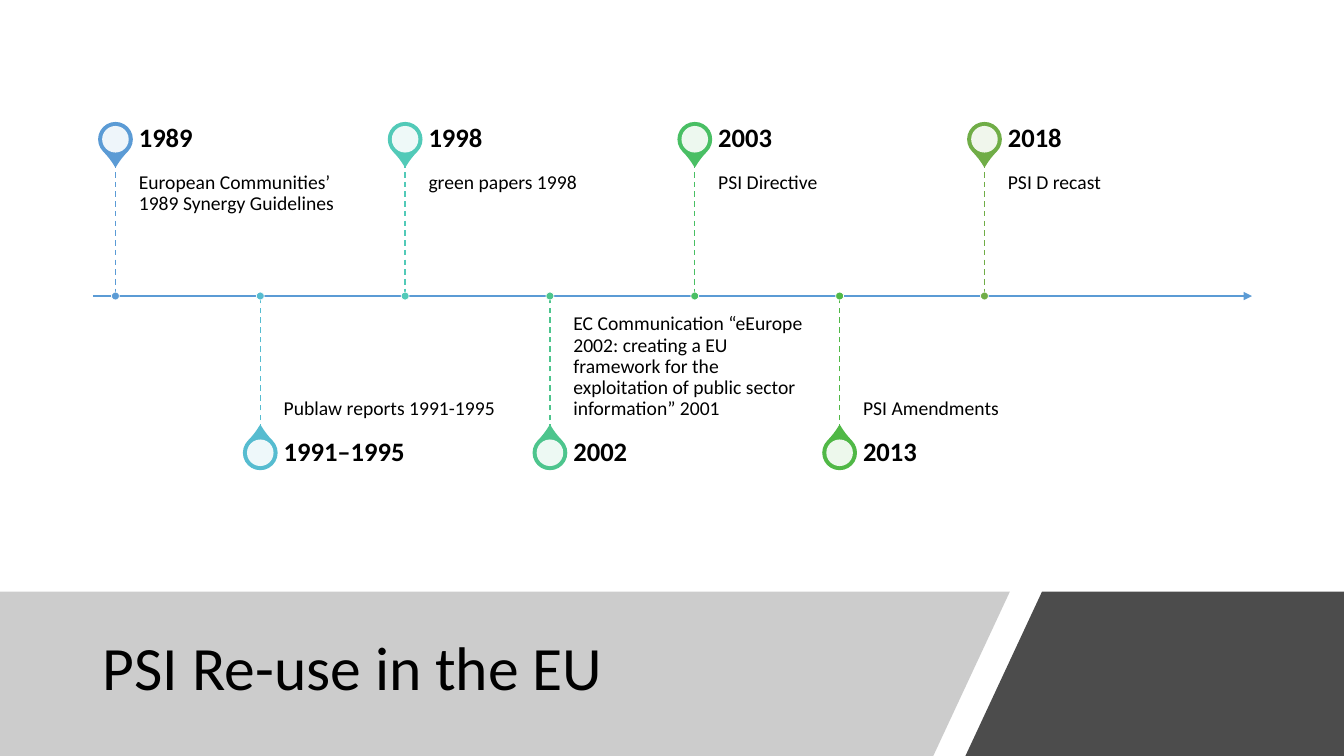
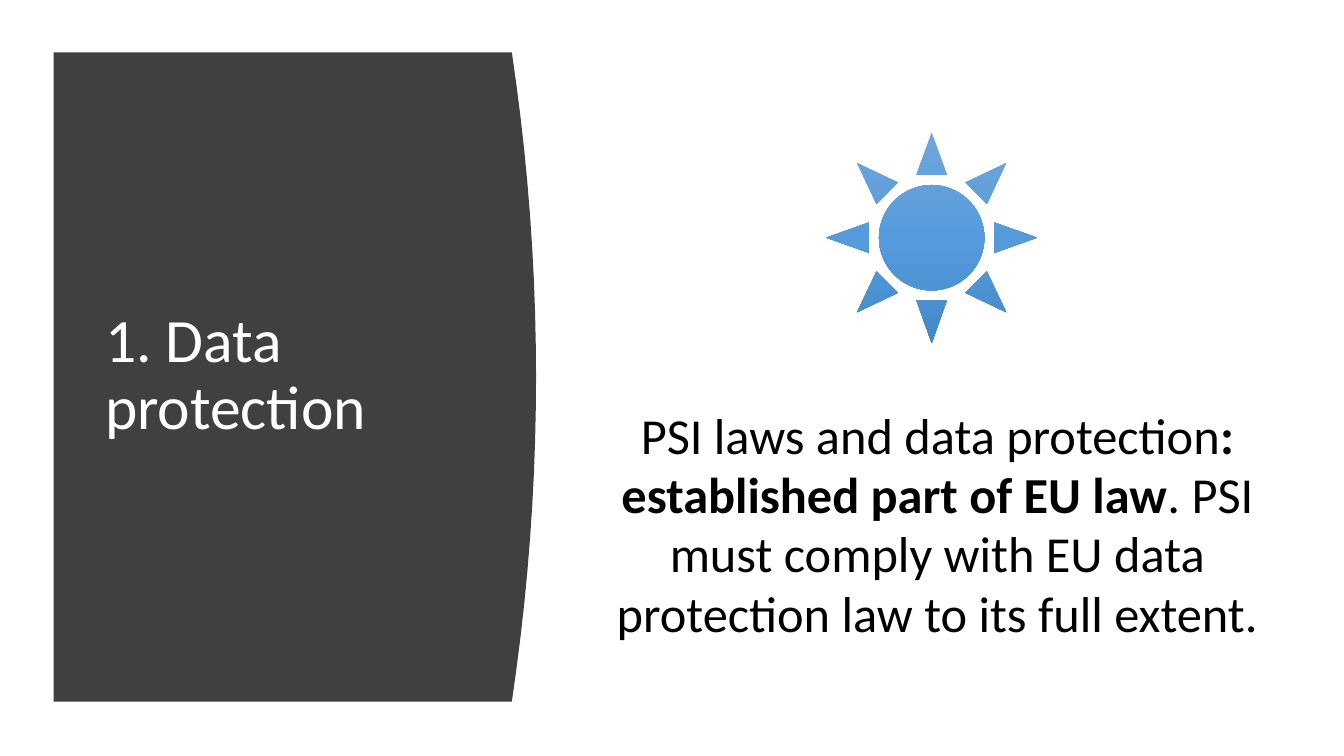
import copy

import pptx
import pptx.dml.color
import pptx.enum.dml
import pptx.enum.shapes
import pptx.enum.text
import pptx.oxml
import pptx.oxml.ns
import pptx.util

Cm = pptx.util.Cm
Pt = pptx.util.Pt
RGBColor = pptx.dml.color.RGBColor
ALIGN = pptx.enum.text.PP_ALIGN
ANCHOR = pptx.enum.text.MSO_ANCHOR
SHAPE = pptx.enum.shapes.MSO_SHAPE
DASH = pptx.enum.dml.MSO_LINE.DASH

FONT = "Calibri"
BLACK = RGBColor(0x00, 0x00, 0x00)
WHITE = RGBColor(0xFF, 0xFF, 0xFF)
GREY = RGBColor(0x80, 0x80, 0x80)
CHARCOAL = RGBColor(0x40, 0x40, 0x40)
BLUE = RGBColor(0x5B, 0x9B, 0xD5)
AQUA = RGBColor(0x56, 0xBC, 0xD0)
TURQUOISE = RGBColor(0x52, 0xCA, 0xB8)
MINT = RGBColor(0x4D, 0xC5, 0x8D)
EMERALD = RGBColor(0x49, 0xBF, 0x64)
GREEN = RGBColor(0x50, 0xB8, 0x46)
OLIVE = RGBColor(0x70, 0xAD, 0x47)
SUN_STOPS = [
    (0, RGBColor(0x71, 0xA6, 0xDB)),
    (0.5, RGBColor(0x55, 0x9B, 0xDB)),
    (1, RGBColor(0x44, 0x8A, 0xCA)),
]

PAGE_WIDTH, PAGE_HEIGHT = 33.87, 19.05
BAND_TOP = 14.91
AXIS_Y, AXIS_START, AXIS_END = 7.46, 2.34, 31.55
FIRST_EVENT_X, EVENT_STEP = 2.91, 3.65
STEM_LENGTH, PIN_OFFSET = 3.37, 3.95
PIN_SIZE, HOLE_SIZE, DOT_SIZE = 0.84, 0.67, 0.2
LABEL_GAP, LABEL_WIDTH, YEAR_HEIGHT = 0.59, 6.07, 1.17

EVENTS = [
    ("1989", "European Communities’ 1989 Synergy Guidelines", BLUE),
    ("1991–1995", "Publaw reports 1991-1995", AQUA),
    ("1998", "green papers 1998", TURQUOISE),
    ("2002", "EC Communication “eEurope 2002: creating a EU framework for the "
             "exploitation of public sector information” 2001", MINT),
    ("2003", "PSI Directive", EMERALD),
    ("2013", "PSI Amendments", GREEN),
    ("2018", "PSI D recast", OLIVE),
]


def write_text(box, text, size=14, color=BLACK, bold=False, align=ALIGN.LEFT,
               anchor=ANCHOR.TOP, spacing=0.9, margins=(0, 0, 0, 0)):
    frame = box.text_frame
    frame.word_wrap = True
    frame.auto_size = pptx.enum.text.MSO_AUTO_SIZE.NONE
    frame.vertical_anchor = anchor
    frame.margin_left, frame.margin_top, frame.margin_right, frame.margin_bottom = map(Cm, margins)
    para = frame.paragraphs[0]
    para.alignment = align
    para.line_spacing = spacing
    for index, part in enumerate(text.split("|")):
        span = para.add_run()
        span.text = part
        span.font.name = FONT
        span.font.size = Pt(size)
        span.font.bold = bold != (index % 2 == 1)
        span.font.color.rgb = color


def add_text(page, text, left, top, width, height, **text_format):
    box = page.shapes.add_textbox(Cm(left), Cm(top), Cm(width), Cm(height))
    write_text(box, text, **text_format)


def place_title(page, text, left, top, width, height, color=BLACK):
    title = page.shapes.title
    title.left, title.top, title.width, title.height = map(Cm, (left, top, width, height))
    write_text(title, text, size=44, color=color, anchor=ANCHOR.MIDDLE,
               margins=(0.25, 0.13, 0.25, 0.13))
    page.shapes._spTree.append(title._element)


def paint(shape, color, opacity=100, line=None, line_width=1):
    shape.shadow.inherit = False
    shape.fill.solid()
    shape.fill.fore_color.rgb = color
    if opacity < 100:
        tint = shape._element.spPr.find(".//" + pptx.oxml.ns.qn("a:srgbClr"))
        alpha = pptx.oxml.parse_xml(f'<a:alpha {pptx.oxml.ns.nsdecls("a")} val="{opacity * 1000}"/>')
        tint.append(alpha)
    if line is None:
        shape.line.fill.background()
    else:
        shape.line.color.rgb = line
        shape.line.width = Pt(line_width)


def add_centred(page, kind, x, y, size):
    return page.shapes.add_shape(kind, Cm(x - size / 2), Cm(y - size / 2), Cm(size), Cm(size))


def add_outline(page, points, color, opacity=100):
    corners = [(Cm(x), Cm(y)) for x, y in points]
    builder = page.shapes.build_freeform(*corners[0])
    builder.add_line_segments(corners[1:], close=True)
    paint(builder.convert_to_shape(), color, opacity)


def add_line(page, start, end, color, width=1, dash=None, arrow=False):
    line = page.shapes.add_connector(pptx.enum.shapes.MSO_CONNECTOR.STRAIGHT,
                                     *map(Cm, start + end))
    line.line.color.rgb = color
    line.line.width = Pt(width)
    if dash is not None:
        line.line.dash_style = dash
    namespace = pptx.oxml.ns.nsdecls("a")
    if arrow:
        head = pptx.oxml.parse_xml(f'<a:tailEnd {namespace} type="triangle"/>')
        line.line._get_or_add_ln().append(head)
    line._element.spPr.append(pptx.oxml.parse_xml(f"<a:effectLst {namespace}/>"))


def add_event(page, x, year, text, color, above):
    side = -1 if above else 1
    stem_end = AXIS_Y + side * STEM_LENGTH
    pin_y = AXIS_Y + side * PIN_OFFSET
    pin = add_centred(page, SHAPE.TEAR, x, pin_y, PIN_SIZE)
    pin.adjustments[0] = 1.15
    pin.rotation = 135 if above else 315
    paint(pin, color, line=color)
    paint(add_centred(page, SHAPE.OVAL, x, pin_y, HOLE_SIZE), WHITE, opacity=90)
    label_x = x + LABEL_GAP
    add_text(page, text, label_x, min(stem_end, AXIS_Y), LABEL_WIDTH, STEM_LENGTH,
             anchor=ANCHOR.TOP if above else ANCHOR.BOTTOM,
             margins=(0, 0.25, 0.25, 0.38) if above else (0, 0.38, 0, 0.25))
    add_text(page, year, label_x, pin_y - YEAR_HEIGHT / 2, LABEL_WIDTH, YEAR_HEIGHT,
             size=19, bold=True, anchor=ANCHOR.MIDDLE)
    add_line(page, (x, stem_end), (x, AXIS_Y), color, dash=DASH)
    paint(add_centred(page, SHAPE.OVAL, x, AXIS_Y, DOT_SIZE), color, line=WHITE, line_width=0.5)


def add_sun(page, x, y, size):
    sun = add_centred(page, SHAPE.SUN, x, y, size)
    sun.shadow.inherit = False
    sun.line.fill.background()
    sun.fill.gradient()
    sun.fill.gradient_angle = 270
    stop_list = sun._element.spPr.find(".//" + pptx.oxml.ns.qn("a:gsLst"))
    stop_list.insert(1, copy.deepcopy(stop_list[0]))
    for stop, (position, color) in zip(sun.fill.gradient_stops, SUN_STOPS):
        stop.position = position
        stop.color.rgb = color


def add_page(deck):
    return deck.slides.add_slide(deck.slide_layouts[5])


def build_timeline(deck):
    page = add_page(deck)
    add_outline(page, [(0, BAND_TOP), (25.45, BAND_TOP), (23.52, PAGE_HEIGHT),
                       (0, PAGE_HEIGHT)], GREY, opacity=40)
    add_outline(page, [(26.26, BAND_TOP), (PAGE_WIDTH, BAND_TOP), (PAGE_WIDTH, PAGE_HEIGHT),
                       (24.33, PAGE_HEIGHT)], BLACK, opacity=70)
    place_title(page, "PSI Re-use in the EU", 2.34, 15.37, 21.44, 3.05)
    add_line(page, (AXIS_START, AXIS_Y), (AXIS_END, AXIS_Y), BLUE, width=1.5, arrow=True)
    for index, (year, text, color) in enumerate(EVENTS):
        add_event(page, FIRST_EVENT_X + index * EVENT_STEP, year, text, color,
                  above=index % 2 == 0)


def build_data_protection(deck):
    page = add_page(deck)
    left, edge, bulge, middle, half_height, steps = 1.35, 12.9, 0.61, 9.5, 8.18, 20
    offsets = [2 * step / steps - 1 for step in range(steps + 1)]
    curve = [(edge + bulge * (1 - offset ** 2), middle + half_height * offset)
             for offset in offsets]
    panel = [(left, middle - half_height)] + curve + [(left, middle + half_height)]
    add_outline(page, panel, CHARCOAL)
    place_title(page, "1. Data protection", 2.4, 2.82, 9.5, 13.31, color=WHITE)
    add_sun(page, 23.48, 5.99, 5.31)
    add_text(page, "PSI laws and data protection|: established part of EU law|. PSI must comply "
                   "with EU data protection law to its full extent.",
             14.75, 10.25, 17.75, 7.4, size=36, align=ALIGN.CENTER, spacing=0.98)


def main():
    deck = pptx.Presentation()
    deck.slide_width, deck.slide_height = Cm(PAGE_WIDTH), Cm(PAGE_HEIGHT)
    build_timeline(deck)
    build_data_protection(deck)
    deck.save("out.pptx")


if __name__ == "__main__":
    main()
